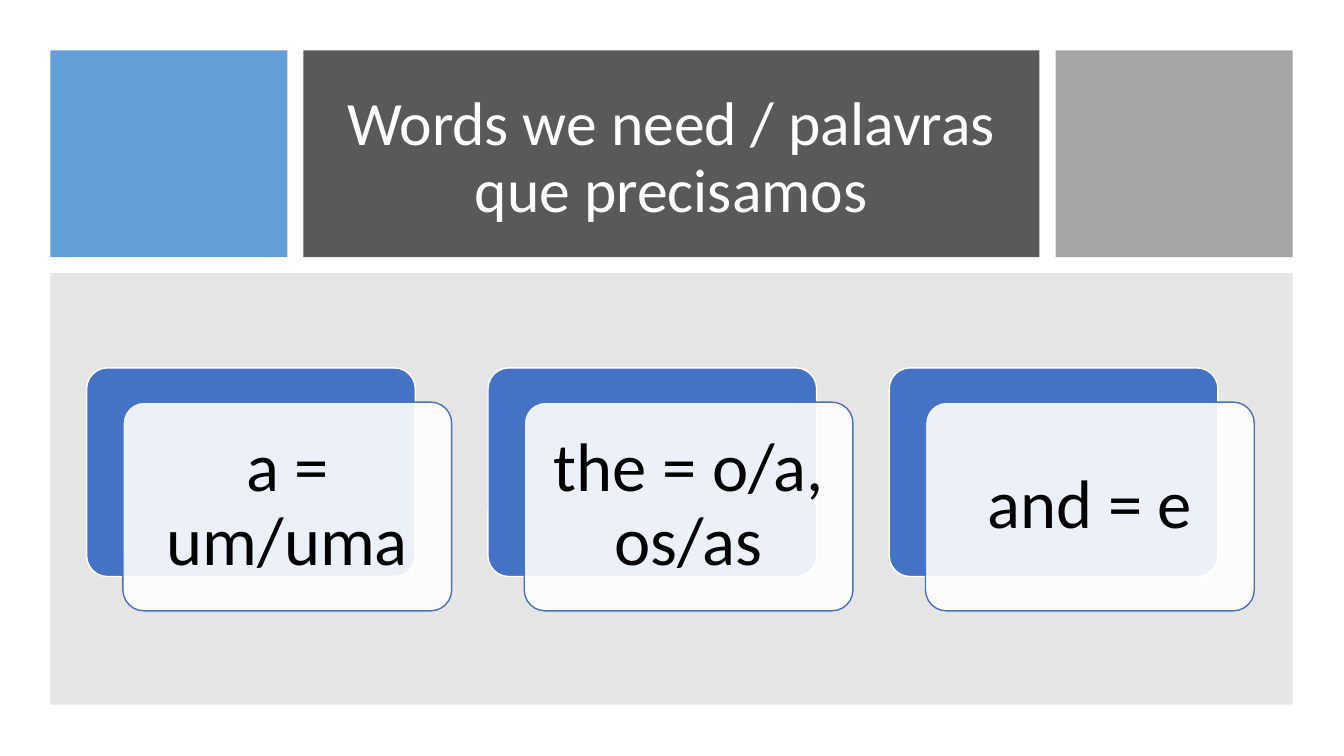
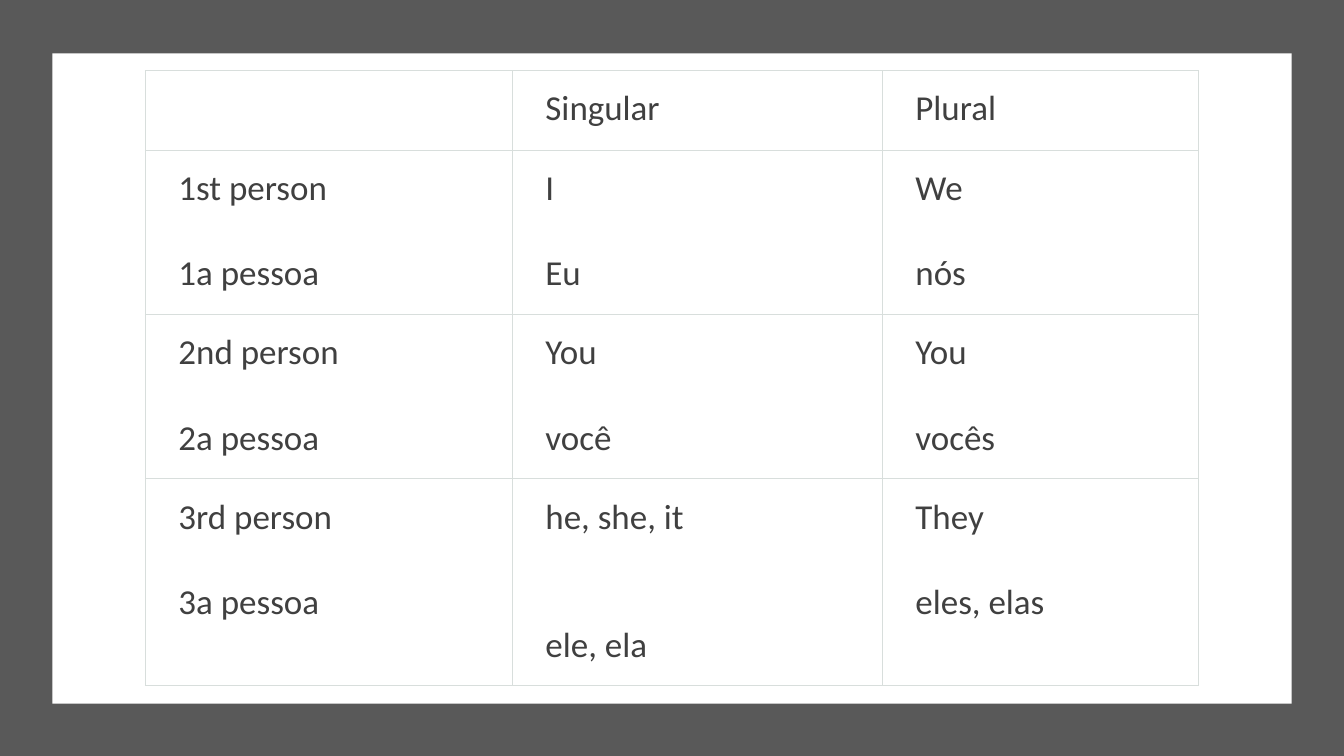
"""Build a two-slide English and Portuguese vocabulary lesson."""
from lxml.etree import SubElement
from pptx import Presentation
from pptx.dml.color import RGBColor
from pptx.enum.shapes import MSO_SHAPE
from pptx.enum.text import MSO_ANCHOR, PP_ALIGN
from pptx.oxml import parse_xml
from pptx.oxml.ns import nsdecls, qn
from pptx.util import Inches, Pt

FONT = "Calibri"
WHITE = RGBColor(0xFF, 0xFF, 0xFF)
BLACK = RGBColor(0x00, 0x00, 0x00)
DARK = RGBColor(0x59, 0x59, 0x59)
SKY = RGBColor(0x5B, 0x9B, 0xD5)
SILVER = RGBColor(0xA5, 0xA5, 0xA5)
GREY = RGBColor(0x80, 0x80, 0x80)
BLUE = RGBColor(0x44, 0x72, 0xC4)
INK = RGBColor(0x40, 0x40, 0x40)
BORDER = RGBColor(0xD8, 0xDE, 0xDC)

WIDTH, HEIGHT = 13.33, 7.5
TITLE = "Words we need / palavras que precisamos"
WORDS = ["a = um/uma", "the = o/a, os/as", "and = e"]
CARD_LEFT, CARD_TOP, CARD_PITCH = 0.86, 3.65, 3.98
CARD_WIDTH, CARD_HEIGHT = 3.26, 2.07
CARD_SHIFT_X, CARD_SHIFT_Y = 0.36, 0.34

PRONOUNS = [
    [[], ["Singular"], ["Plural"]],
    [["1st person", "1a pessoa"], ["I", "Eu"], ["We", "nós"]],
    [["2nd person", "2a pessoa"], ["You", "você"], ["You", "vocês"]],
    [["3rd person", "3a pessoa"], ["he, she, it", "ele, ela"], ["They", "eles, elas"]],
]
COLUMN_WIDTHS = [3.64, 3.67, 3.14]
ROW_HEIGHTS = [0.79, 1.63, 1.63, 2.05]
LINE_HEIGHT = 30.5
BLANK_LINES = {"ele, ela": 2}


def add_block(page, left, top, width, height, color, opacity=100,
              line=None, kind=MSO_SHAPE.RECTANGLE):
    block = page.shapes.add_shape(
        kind, Inches(left), Inches(top), Inches(width), Inches(height))
    block.shadow.inherit = False
    block.fill.solid()
    block.fill.fore_color.rgb = color
    if opacity < 100:
        tone = block.element.spPr.find(qn("a:solidFill")).find(qn("a:srgbClr"))
        SubElement(tone, qn("a:alpha")).set("val", str(opacity * 1000))
    if line is None:
        block.line.fill.background()
    else:
        block.line.color.rgb = line
        block.line.width = Pt(1)
    return block


def set_margins(target, left, top, right, bottom):
    target.margin_left, target.margin_top = Inches(left), Inches(top)
    target.margin_right, target.margin_bottom = Inches(right), Inches(bottom)


def style_font(para, size, color):
    for span in para.runs:
        span.font.name = FONT
        span.font.size = Pt(size)
        span.font.color.rgb = color


def write_centred(block, text, size, color, margins):
    frame = block.text_frame
    frame.text = text
    frame.word_wrap = True
    frame.vertical_anchor = MSO_ANCHOR.MIDDLE
    set_margins(frame, *margins)
    para = frame.paragraphs[0]
    para.alignment = PP_ALIGN.CENTER
    para.line_spacing = 0.9
    style_font(para, size, color)


def add_card(page, left, top, text):
    for shift, color, opacity, line in ((0, BLUE, 100, WHITE), (1, WHITE, 90, BLUE)):
        card = add_block(page, left + shift * CARD_SHIFT_X, top + shift * CARD_SHIFT_Y,
                         CARD_WIDTH, CARD_HEIGHT, color, opacity, line,
                         MSO_SHAPE.ROUNDED_RECTANGLE)
        card.adjustments[0] = 0.1
    write_centred(card, text, 49, BLACK, (0.2, 0.2, 0.2, 0.2))


def add_borders(cell):
    properties = cell._tc.get_or_add_tcPr()
    for index, side in enumerate(("lnL", "lnR", "lnT", "lnB")):
        properties.insert(index, parse_xml(
            f'<a:{side} {nsdecls("a")} w="{Pt(0.75)}"><a:solidFill>'
            f'<a:srgbClr val="{BORDER}"/></a:solidFill></a:{side}>'))


def fill_cell(cell, lines):
    cell.fill.background()
    add_borders(cell)
    set_margins(cell, 0.33, 0.17, 0.17, 0.17)
    cell.text_frame.text = "\n".join(lines)
    for index, para in enumerate(cell.text_frame.paragraphs):
        if index:
            para.space_before = Pt(LINE_HEIGHT * BLANK_LINES.get(para.text, 1))
        style_font(para, 25, INK)


def add_pronoun_table(page):
    table = page.shapes.add_table(
        len(ROW_HEIGHTS), len(COLUMN_WIDTHS), Inches(1.44), Inches(0.7),
        Inches(sum(COLUMN_WIDTHS)), Inches(sum(ROW_HEIGHTS))).table
    table.first_row = table.horz_banding = False
    for column, width in zip(table.columns, COLUMN_WIDTHS):
        column.width = Inches(width)
    for row, height, entries in zip(table.rows, ROW_HEIGHTS, PRONOUNS):
        row.height = Inches(height)
        for cell, lines in zip(row.cells, entries):
            fill_cell(cell, lines)


def build_words(page):
    add_block(page, 0.5, 0.5, 2.35, 2.05, SKY, 95)
    band = add_block(page, 3.01, 0.5, 7.3, 2.05, DARK)
    write_centred(band, TITLE, 44, WHITE, (0.42, 0.35, 0.42, 0.24))
    add_block(page, 10.47, 0.5, 2.35, 2.05, SILVER)
    add_block(page, 0.5, 2.71, 12.32, 4.28, GREY, 20)
    for index, text in enumerate(WORDS):
        add_card(page, CARD_LEFT + index * CARD_PITCH, CARD_TOP, text)


def build_pronouns(page):
    add_block(page, 0, 0, WIDTH, HEIGHT, DARK)
    add_block(page, 0.52, 0.53, 12.29, 6.45, WHITE)
    add_pronoun_table(page)


def main():
    deck = Presentation()
    deck.slide_width, deck.slide_height = Inches(WIDTH), Inches(HEIGHT)
    for build in (build_words, build_pronouns):
        build(deck.slides.add_slide(deck.slide_layouts[6]))
    deck.save("out.pptx")


if __name__ == "__main__":
    main()
